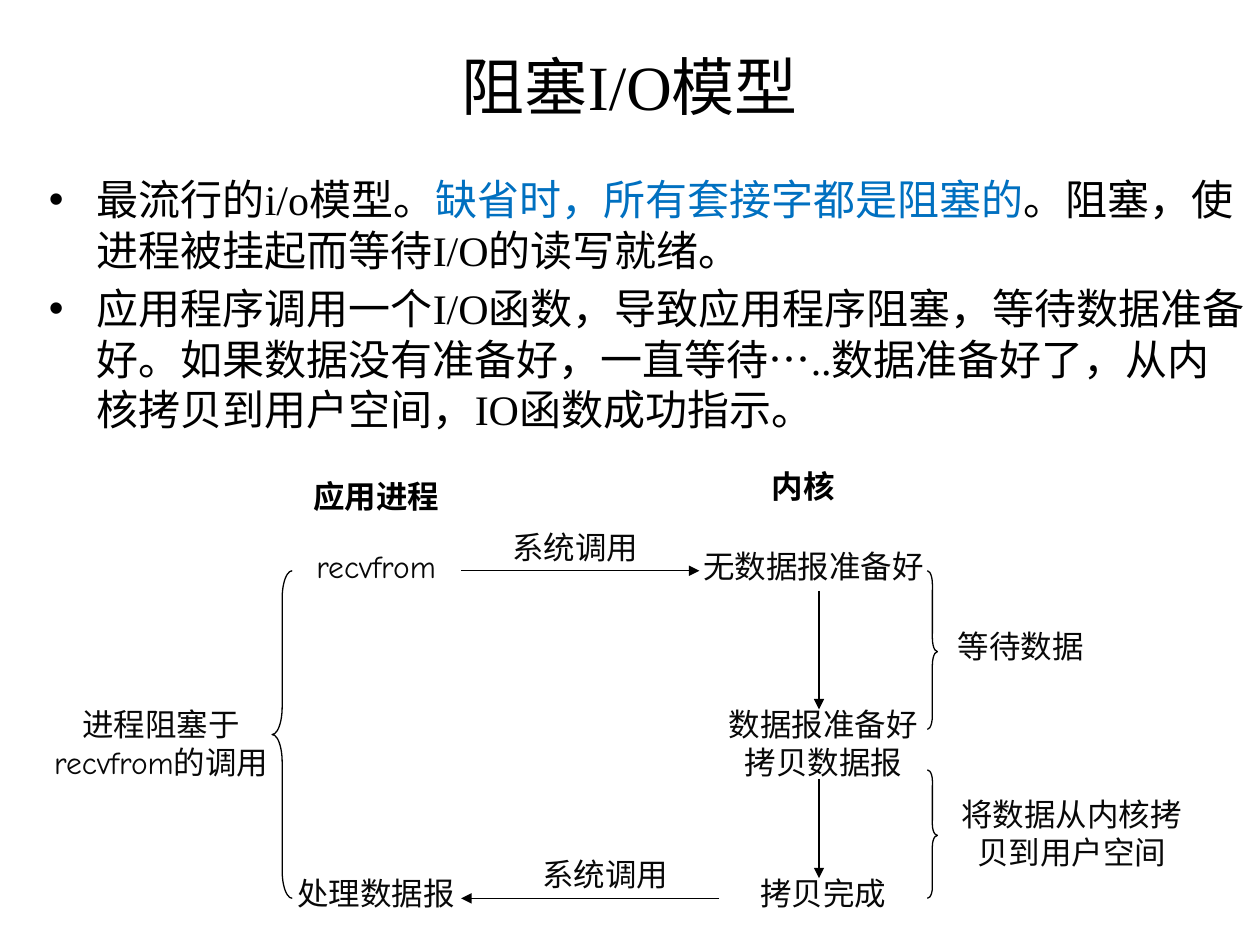
from dataclasses import dataclass

import pptx
import pptx.dml.color
import pptx.enum.shapes
import pptx.enum.text
import pptx.oxml
import pptx.oxml.ns
import pptx.util

Inches = pptx.util.Inches
Pt = pptx.util.Pt
ALIGN = pptx.enum.text.PP_ALIGN
ANCHOR = pptx.enum.text.MSO_ANCHOR
SHAPE = pptx.enum.shapes.MSO_SHAPE


@dataclass(frozen=True)
class Theme:
    text_font: str = "Times New Roman"
    diagram_font: str = "Comic Neue"
    black: str = "000000"
    label: str = "080808"
    accent: str = "0070C0"
    title_size: float = 36
    body_size: float = 24
    label_size: float = 18
    line_width: float = 0.75


@dataclass(frozen=True)
class Label:
    text: str
    left: float
    top: float
    width: float = 1.65
    height: float = 0.4
    heading: bool = False


@dataclass(frozen=True)
class Arrow:
    start: tuple[float, float]
    end: tuple[float, float]


@dataclass(frozen=True)
class Brace:
    kind: SHAPE
    left: float
    top: float
    width: float
    height: float
    curve: float
    tip: float


THEME = Theme()
CALL_Y, RETURN_Y = 4.53, 7.13
KERNEL_X = 6.5

BULLETS = [
    [
        ("最流行的i/o模型。", THEME.black),
        ("缺省时，所有套接字都是阻塞的", THEME.accent),
        ("。阻塞，使进程被挂起而等待I/O的读写就绪。", THEME.black),
    ],
    [
        (
            "应用程序调用一个I/O函数，导致应用程序阻塞，等待数据准备好。"
            "如果数据没有准备好，一直等待…..数据准备好了，"
            "从内核拷贝到用户空间，IO函数成功指示。",
            THEME.black,
        )
    ],
]

LABELS = [
    Label("应用进程", 2.16, 3.74, heading=True),
    Label("内核", 5.55, 3.66, heading=True),
    Label("recvfrom", 2.16, 4.29),
    Label("处理数据报", 2.16, 6.89),
    Label("系统调用", 3.74, 4.14),
    Label("系统调用", 3.98, 6.74),
    Label("无数据报准备好", 5.47, 4.29, 1.97),
    Label("数据报准备好\n拷贝数据报", 5.55, 5.55, 1.97, 0.7),
    Label("拷贝完成", 5.55, 6.89, 1.97),
    Label("进程阻塞于recvfrom的调用", 0.2, 5.55, 2.16, 0.7),
    Label("等待数据", 7.5, 4.93, 1.2),
    Label("将数据从内核拷贝到用户空间", 7.52, 6.26, 1.97, 0.7),
]

ARROWS = [
    Arrow((3.66, CALL_Y), (5.55, CALL_Y)),
    Arrow((KERNEL_X, 4.69), (KERNEL_X, 5.63)),
    Arrow((KERNEL_X, 6.18), (KERNEL_X, 6.97)),
    Arrow((5.71, RETURN_Y), (3.66, RETURN_Y)),
]

BRACES = [
    Brace(SHAPE.LEFT_BRACE, 2.16, CALL_Y, 0.16, RETURN_Y - CALL_Y, 1.37, 0.5),
    Brace(SHAPE.RIGHT_BRACE, 7.36, CALL_Y, 0.08, 1.26, 1.34, 0.51),
    Brace(SHAPE.RIGHT_BRACE, 7.36, 6.11, 0.08, RETURN_Y - 6.11, 1.09, 0.51),
]


def color(value: str) -> pptx.dml.color.RGBColor:
    return pptx.dml.color.RGBColor.from_string(value)


def style_font(font, name: str, size: float, value: str, bold: bool = False) -> None:
    font.name, font.size, font.bold = name, Pt(size), bold
    font.color.rgb = color(value)


def add_frame(page, left: float, top: float, width: float, height: float):
    """Add a wrapping text box and return its text frame."""
    box = page.shapes.add_textbox(*map(Inches, (left, top, width, height)))
    box.text_frame.word_wrap = True
    return box.text_frame


def draw_title(page, text: str) -> None:
    frame = add_frame(page, 0.75, 0.05, 8.5, 1.25)
    frame.vertical_anchor = ANCHOR.MIDDLE
    frame.text = text
    para = frame.paragraphs[0]
    para.alignment = ALIGN.CENTER
    style_font(para.runs[0].font, THEME.text_font, THEME.title_size, THEME.black)


def add_bullet(para) -> None:
    """Give the paragraph a round bullet with a hanging indent."""
    properties = para._p.get_or_add_pPr()
    properties.set("marL", str(Inches(0.38)))
    properties.set("indent", str(Inches(-0.38)))
    namespace = pptx.oxml.ns.nsdecls("a")
    for markup in (f'<a:buFont {namespace} typeface="Arial"/>',
                   f'<a:buChar {namespace} char="•"/>'):
        properties.append(pptx.oxml.parse_xml(markup))


def draw_body(page) -> None:
    frame = add_frame(page, 0.29, 1.33, 9.73, 1.88)
    for index, parts in enumerate(BULLETS):
        para = frame.add_paragraph() if index else frame.paragraphs[0]
        para.space_before = Pt(0.2 * THEME.body_size)
        add_bullet(para)
        for text, value in parts:
            span = para.add_run()
            span.text = text
            style_font(span.font, THEME.text_font, THEME.body_size, value)


def draw_label(page, label: Label) -> None:
    frame = add_frame(page, label.left, label.top, label.width, label.height)
    frame.margin_left = frame.margin_right = Inches(0.05)
    frame.text = label.text
    value = THEME.black if label.heading else THEME.label
    for para in frame.paragraphs:
        para.alignment = ALIGN.CENTER
        for span in para.runs:
            style_font(span.font, THEME.diagram_font, THEME.label_size, value, label.heading)


def style_line(line) -> None:
    line.color.rgb = color(THEME.black)
    line.width = Pt(THEME.line_width)


def draw_arrow(page, arrow: Arrow) -> None:
    connector = page.shapes.add_connector(
        pptx.enum.shapes.MSO_CONNECTOR.STRAIGHT, *map(Inches, arrow.start + arrow.end)
    )
    style_line(connector.line)
    namespace = pptx.oxml.ns.nsdecls("a")
    connector.line._get_or_add_ln().append(
        pptx.oxml.parse_xml(f'<a:tailEnd {namespace} type="triangle"/>')
    )
    connector._element.spPr.append(pptx.oxml.parse_xml(f"<a:effectLst {namespace}/>"))


def draw_brace(page, brace: Brace) -> None:
    shape = page.shapes.add_shape(
        brace.kind, *map(Inches, (brace.left, brace.top, brace.width, brace.height))
    )
    shape.adjustments[0], shape.adjustments[1] = brace.curve, brace.tip
    shape.shadow.inherit = False
    shape.fill.background()
    style_line(shape.line)


def main() -> None:
    deck = pptx.Presentation()
    deck.slide_width, deck.slide_height = Inches(10), Inches(7.5)
    page = deck.slides.add_slide(deck.slide_layouts[6])
    draw_title(page, "阻塞I/O模型")
    draw_body(page)
    for brace in BRACES:
        draw_brace(page, brace)
    for label in LABELS:
        draw_label(page, label)
    for arrow in ARROWS:
        draw_arrow(page, arrow)
    deck.save("out.pptx")


if __name__ == "__main__":
    main()
